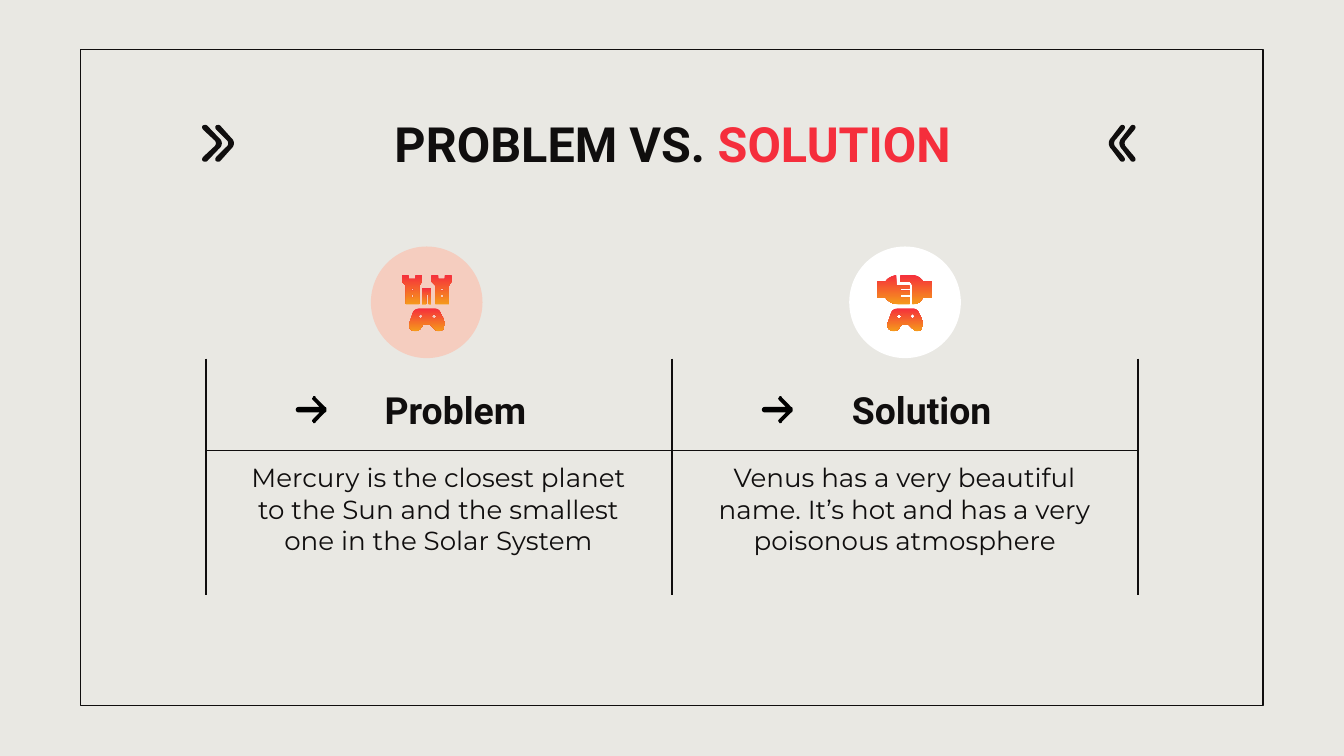
from dataclasses import dataclass
from lxml.etree import SubElement
from pptx import Presentation
from pptx.dml.color import RGBColor
from pptx.enum.shapes import MSO_CONNECTOR, MSO_SHAPE
from pptx.enum.text import MSO_ANCHOR, PP_ALIGN
from pptx.oxml.ns import qn
from pptx.util import Cm, Pt


@dataclass(frozen=True)
class Theme:
    background: str = "E9E8E3"
    ink: str = "100E0E"
    arrow: str = "000000"
    accent: str = "F52E3C"
    gradient: tuple = ("F52E3C", "F59A1B")
    problem_disc: str = "F5CDBF"
    solution_disc: str = "FFFFFF"
    heading_font: str = "Roboto"
    body_font: str = "Montserrat"
    title_size: int = 26
    heading_size: int = 20
    body_size: int = 14
    rule: float = 0.75
    chevron_line: float = 1.5


THEME = Theme()


@dataclass(frozen=True)
class Box:
    """A place on the slide, in centimetres."""
    left: float
    top: float
    width: float
    height: float

    def inner(self, left, top, width, height):
        return Box(self.left + left, self.top + top, width, height)

    def lengths(self):
        return Cm(self.left), Cm(self.top), Cm(self.width), Cm(self.height)


# Outlines: a pair is a corner, six numbers are a Bezier curve.
CHEVRON_GRID = (12, 25)
CHEVRON = [(1, 25), (0, 25, 0, 24, 1, 23), (9, 15), (10, 13, 10, 12, 9, 10), (1, 2),
           (0, 1, 0, 0, 1, 0), (2, 0), (10, 9), (12.5, 11, 12.5, 14, 10, 16), (2, 25)]
ARROW_GRID = (23, 20)
ARROW = [(14, 0), (14, 0, 15, 0, 15, 1), (22, 8), (23, 8, 23, 9, 23, 10),
         (23, 11, 23, 12, 22, 12), (15, 19), (15, 20, 14, 20, 14, 20),
         (13, 20, 13, 20, 13, 19), (12, 19, 12, 18, 13, 17), (18, 12), (2, 12),
         (1, 12, 0, 11, 0, 10), (0, 9, 1, 8, 2, 8), (18, 8), (13, 3),
         (12, 2, 12, 1, 13, 1), (13, 0, 13, 0, 14, 0)]

ICON_GRID = (83, 83)
CONTROLLER = [
    [(37, 46), (34, 46, 32, 47, 31, 50), (29, 56), (27, 60, 30, 63, 33, 63),
     (35, 63, 36, 62, 37, 61), (39, 58), (40, 58), (43, 58), (44, 58), (47, 61),
     (48, 62, 49, 63, 50, 63), (53, 63, 55, 61, 55, 58), (55, 57, 55, 57, 55, 56),
     (52, 50), (51, 47, 49, 46, 47, 46)],
    *[[(x, 50), (x + 2, 52), (x, 54), (x - 2, 52)] for x in (37, 47)],
]


def tower(left):
    wall = [(0, 21), (0, 26), (3, 29), (3, 43), (13, 43), (13, 29), (15, 26),
            (15, 21), (10, 21), (10, 24), (5, 24), (5, 21)]
    windows = [[(9, y), (9, y + 2), (7, y + 2), (7, y)] for y in (31, 36)]
    return [[(left + x, y) for x, y in contour] for contour in [wall, *windows]]


GATE = [[(38, 31), (38, 43), (41, 43), (41, 36), (43, 36), (43, 43), (45, 43), (45, 31)]]
LEFT_FIST = [[(35, 21), (32, 22, 29, 23, 27, 26), (21, 26), (21, 38), (27, 38),
              (29, 41, 33, 43, 37, 43), (45, 43), (45, 38), (38, 38), (38, 36), (45, 36),
              (45, 33), (38, 33), (38, 31), (45, 31), (45, 30),
              (45, 29, 44, 29, 44, 29), (35, 29)]]
RIGHT_FIST = [[(38, 21), (38, 26), (44, 26), (46, 26, 47, 28, 47, 30), (47, 43),
               (51, 43, 53, 41, 55, 38), (62, 38), (62, 26), (55, 26),
               (53, 23, 50, 21, 46, 21)]]
CASTLE_ICON = [tower(23), tower(45), GATE, CONTROLLER]
FISTS_ICON = [CONTROLLER, LEFT_FIST, RIGHT_FIST]


def flatten(contour, steps=8):
    """Turn corners and curves into a list of points."""
    points = []
    for part in contour:
        if len(part) == 2:
            points.append(part)
            continue
        controls = [points[-1], part[0:2], part[2:4], part[4:6]]
        for step in range(1, steps + 1):
            t = step / steps
            weights = ((1 - t) ** 3, 3 * t * (1 - t) ** 2, 3 * t * t * (1 - t), t ** 3)
            points.append(tuple(sum(weight * point[axis] for weight, point
                                    in zip(weights, controls)) for axis in (0, 1)))
    return points


def add_outline(slide, box, contours, grid, color=None, line=None, mirrored=False):
    """Draw contours stretched from grid to box; without a color they get the gradient."""
    def place(point):
        across = point[0] / grid[0]
        across = 1 - across if mirrored else across
        return (Cm(box.left + across * box.width),
                Cm(box.top + point[1] / grid[1] * box.height))

    builder = None
    for contour in contours:
        start, *rest = [place(point) for point in flatten(contour)]
        if builder is None:
            builder = slide.shapes.build_freeform(*start)
        else:
            builder.move_to(*start)
        builder.add_line_segments(rest, close=True)
    finish(builder.convert_to_shape(), color, line)


def finish(shape, color=None, line=None):
    shape.shadow.inherit = False
    if color:
        shape.fill.solid()
        shape.fill.fore_color.rgb = RGBColor.from_string(color)
    else:
        shape.fill.gradient()
        shape.fill.gradient_angle = 270
        for stop, stop_color in zip(shape.fill.gradient_stops, THEME.gradient):
            stop.color.rgb = RGBColor.from_string(stop_color)
    if line:
        shape.line.color.rgb = RGBColor.from_string(THEME.ink)
        shape.line.width = Pt(line)
    else:
        shape.line.fill.background()


def add_text(slide, box, *runs, font, size, bold=False):
    """Add one centred paragraph; each run is a pair of text and color."""
    frame = slide.shapes.add_textbox(*box.lengths()).text_frame
    frame.word_wrap = True
    frame.vertical_anchor = MSO_ANCHOR.MIDDLE
    frame.margin_left = frame.margin_right = Cm(0.25)
    frame.margin_top = frame.margin_bottom = Cm(0.25)
    paragraph = frame.paragraphs[0]
    paragraph.alignment = PP_ALIGN.CENTER
    for text, color in runs:
        run = paragraph.add_run()
        run.text = text
        run.font.name = font
        run.font.size = Pt(size)
        run.font.bold = bold
        run.font.color.rgb = RGBColor.from_string(color)


def add_rule(slide, left, top, right, bottom):
    rule = slide.shapes.add_connector(MSO_CONNECTOR.STRAIGHT,
                                      Cm(left), Cm(top), Cm(right), Cm(bottom))
    rule.line.color.rgb = RGBColor.from_string(THEME.ink)
    rule.line.width = Pt(THEME.rule)
    SubElement(rule._element.spPr, qn("a:effectLst"))


def add_frame(slide, box):
    frame = slide.shapes.add_shape(MSO_SHAPE.RECTANGLE, *box.lengths())
    finish(frame, THEME.background, THEME.rule)
    frame.fill.background()


def add_header(slide, box):
    add_text(slide, box.inner(0.58, 0, 16.59, 1.6),
             ("PROBLEM VS. ", THEME.ink), ("SOLUTION", THEME.accent),
             font=THEME.heading_font, size=THEME.title_size, bold=True)
    chevrons = ((0, 0.33, False), (0.25, 0.31, False), (17.14, 0.26, True), (17.34, 0.26, True))
    for left, width, mirrored in chevrons:
        add_outline(slide, box.inner(left, 0.48, width, 0.64), [CHEVRON], CHEVRON_GRID,
                    THEME.ink, THEME.chevron_line, mirrored)


def add_grid(slide, box, columns, divider):
    for column in range(columns + 1):
        left = box.left + column * box.width / columns
        add_rule(slide, left, box.top, left, box.top + box.height)
    add_rule(slide, box.left, box.top + divider, box.left + box.width, box.top + divider)


def add_panel(slide, box, heading, body, icon, disc_color, disc_left):
    disc_box = box.inner(disc_left, -2.12, 2.11, 2.11)
    disc = slide.shapes.add_shape(MSO_SHAPE.OVAL, *disc_box.lengths())
    finish(disc, disc_color)
    for contours in icon:
        add_outline(slide, disc_box, contours, ICON_GRID)
    add_outline(slide, box.inner(1.7, 0.71, 0.58, 0.51), [ARROW], ARROW_GRID, THEME.arrow)
    add_text(slide, box.inner(2.36, 0.25, 4.72, 1.42), (heading, THEME.ink),
             font=THEME.heading_font, size=THEME.heading_size, bold=True)
    add_text(slide, box.inner(0.36, 1.68, 8.08, 2.31), (body, THEME.ink),
             font=THEME.body_font, size=THEME.body_size)


def main():
    presentation = Presentation()
    presentation.slide_width, presentation.slide_height = Cm(25.4), Cm(14.29)
    slide = presentation.slides.add_slide(presentation.slide_layouts[6])
    slide.background.fill.solid()
    slide.background.fill.fore_color.rgb = RGBColor.from_string(THEME.background)

    add_frame(slide, Box(1.52, 0.94, 22.35, 12.4))
    add_header(slide, Box(3.84, 1.91, 17.6, 1.6))
    grid = Box(3.89, 6.78, 17.62, 4.47)
    add_grid(slide, grid, columns=2, divider=1.73)
    panels = (
        ("Problem", "Mercury is the closest planet to the Sun and the smallest one "
         "in the Solar System", CASTLE_ICON, THEME.problem_disc, 3.12),
        ("Solution", "Venus has a very beautiful name. It’s hot and has a very "
         "poisonous atmosphere", FISTS_ICON, THEME.solution_disc, 3.35),
    )
    width = grid.width / len(panels)
    for index, panel in enumerate(panels):
        add_panel(slide, grid.inner(index * width, 0, width, grid.height), *panel)
    presentation.save("out.pptx")


if __name__ == "__main__":
    main()
